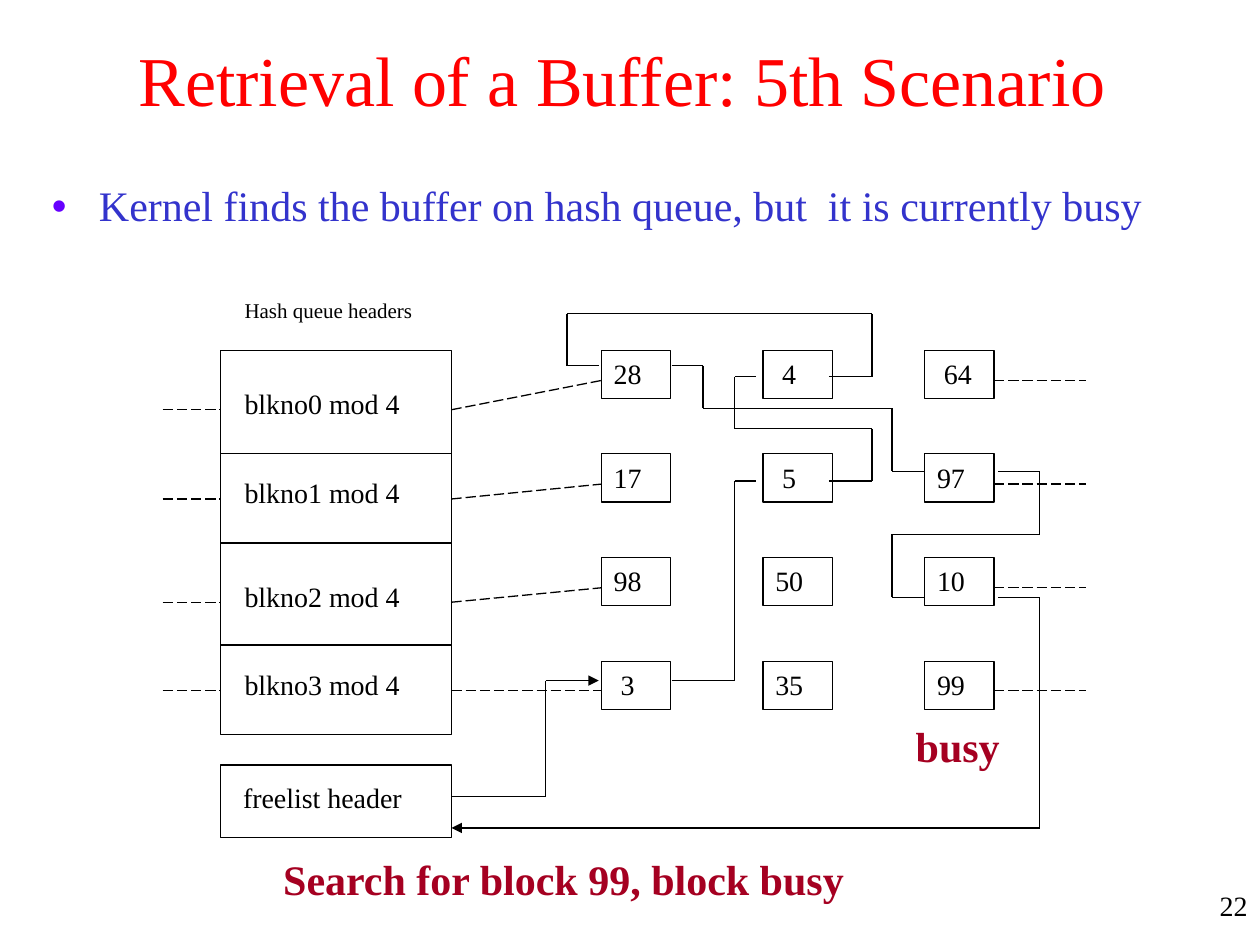
from lxml.etree import SubElement
from pptx import Presentation
from pptx.dml.color import RGBColor
from pptx.enum.dml import MSO_LINE
from pptx.enum.shapes import MSO_CONNECTOR, MSO_SHAPE
from pptx.enum.text import MSO_ANCHOR, MSO_AUTO_SIZE, PP_ALIGN
from pptx.oxml.ns import qn
from pptx.util import Cm, Pt

FONT = "Times New Roman"
BLACK = RGBColor(0x00, 0x00, 0x00)
RED = RGBColor(0xFF, 0x00, 0x00)
BLUE = RGBColor(0x33, 0x33, 0xCC)
CRIMSON = RGBColor(0xA5, 0x00, 0x21)
BULLET_COLOR = "6600FF"

TABLE_WIDTH = 4.65
BOX_WIDTH, BOX_HEIGHT = 1.4, 0.97
COLUMN_PITCH, ROW_PITCH = 3.26, 2.09
LINK_HEIGHT = 0.61  # where hash links meet a buffer, below its top
BUFFERS = [["28", " 4", " 64"], ["17", " 5", "97"],
           ["98", "50", "10"], [" 3", "35", "99"]]
DIVIDERS = [2.09, 3.89, 5.94]
HEADER_MIDDLES = [1.2, 3.0, 5.08, 6.86]

# Free list as runs of corner points, from the freelist header and back to it
FREE_LIST = [
    [(4.65, 8.99), (6.55, 8.99), (6.55, 6.66), (7.62, 6.66)],
    [(9.09, 6.66), (10.36, 6.66), (10.36, 2.64), (10.79, 2.64)],
    [(12.26, 2.64), (13.13, 2.64), (13.13, 1.58), (10.36, 1.58),
     (10.36, 0.53), (10.79, 0.53)],
    [(12.26, 0.53), (13.13, 0.53), (13.13, -0.74), (6.98, -0.74),
     (6.98, 0.31), (7.62, 0.31)],
    [(9.09, 0.31), (9.72, 0.31), (9.72, 1.17), (13.53, 1.17),
     (13.53, 2.44), (14.17, 2.44)],
    [(15.67, 2.44), (16.51, 2.44), (16.51, 3.71), (13.53, 3.71),
     (13.53, 4.98), (14.17, 4.98)],
    [(15.67, 4.98), (16.51, 4.98), (16.51, 9.63), (4.65, 9.63)],
]


def write(shape, text, size, color=BLACK, bold=False, align=PP_ALIGN.LEFT):
    frame = shape.text_frame
    frame.text = text
    frame.auto_size = MSO_AUTO_SIZE.NONE
    paragraph = frame.paragraphs[0]
    paragraph.alignment = align
    font = paragraph.runs[0].font
    font.name, font.size, font.bold = FONT, Pt(size), bold
    font.color.rgb = color
    return paragraph


def place(shape, left, top, width, height):
    shape.left, shape.top = Cm(left), Cm(top)
    shape.width, shape.height = Cm(width), Cm(height)


def add_label(slide, left, top, width, height, text, size, **style):
    label = slide.shapes.add_textbox(Cm(left), Cm(top), Cm(width), Cm(height))
    write(label, text, size, **style)
    label.text_frame.word_wrap = False


def add_box(slide, left, top, width, height):
    box = slide.shapes.add_shape(MSO_SHAPE.RECTANGLE, Cm(left), Cm(top),
                                 Cm(width), Cm(height))
    box.shadow.inherit = False
    box.fill.background()
    box.line.color.rgb = BLACK
    box.line.width = Pt(0.75)
    return box


def add_line(slide, x1, y1, x2, y2, dashed=False, arrow=False):
    line = slide.shapes.add_connector(MSO_CONNECTOR.STRAIGHT,
                                      Cm(x1), Cm(y1), Cm(x2), Cm(y2))
    line.line.color.rgb = BLACK
    line.line.width = Pt(0.75)
    if dashed:
        line.line.dash_style = MSO_LINE.LONG_DASH
    if arrow:
        SubElement(line.line._get_or_add_ln(), qn("a:tailEnd"), type="triangle")
    SubElement(line._element.spPr, qn("a:effectLst"))


def fill_title(slide, left, top, width, height):
    title = slide.shapes.title
    place(title, left, top, width, height)
    write(title, "Retrieval of a Buffer: 5th Scenario", 40, RED,
          align=PP_ALIGN.CENTER)
    title.text_frame.vertical_anchor = MSO_ANCHOR.MIDDLE


def fill_body(slide, left, top, width, height):
    body = slide.placeholders[1]
    place(body, left, top, width, height)
    paragraph = write(
        body, "Kernel finds the buffer on hash queue, but  it is currently busy",
        24, BLUE)
    paragraph.line_spacing = 0.9
    properties = paragraph._p.get_or_add_pPr()
    properties.set("marL", str(Cm(0.95)))
    properties.set("indent", str(Cm(-0.95)))
    bullet_color = SubElement(properties, qn("a:buClr"))
    SubElement(bullet_color, qn("a:srgbClr"), val=BULLET_COLOR)
    SubElement(properties, qn("a:buChar"), char="•")


def add_hash_headers(slide, left, top):
    add_label(slide, left + 0.23, top - 1.19, 3.89, 0.76,
              "Hash queue headers", 12)
    add_box(slide, left, top, TABLE_WIDTH, 7.75)
    for divider in DIVIDERS:
        add_line(slide, left, top + divider, left + TABLE_WIDTH, top + divider)
    for number, middle in enumerate(HEADER_MIDDLES):
        add_label(slide, left + 0.23, top + middle - 0.59, 3.63, 0.94,
                  f"blkno{number} mod 4", 16)


def add_buffers(slide, left, top):
    for row, values in enumerate(BUFFERS):
        for column, value in enumerate(values):
            box = add_box(slide, left + column * COLUMN_PITCH,
                          top + row * ROW_PITCH, BOX_WIDTH, BOX_HEIGHT)
            write(box, value, 16)
            box.text_frame.vertical_anchor = MSO_ANCHOR.TOP


def add_hash_links(slide, left, top, buffers_left):
    right = buffers_left + 2 * COLUMN_PITCH + BOX_WIDTH
    for row, middle in enumerate(HEADER_MIDDLES):
        header_y = top + middle
        buffer_y = min(top + row * ROW_PITCH + LINK_HEIGHT, top + 6.86)
        add_line(slide, left - 1.17, header_y, left, header_y, dashed=True)
        add_line(slide, left + TABLE_WIDTH, header_y, buffers_left, buffer_y,
                 dashed=True)
        add_line(slide, right, buffer_y, right + 1.85, buffer_y, dashed=True)


def add_free_list(slide, left, top):
    add_box(slide, left, top + 8.36, TABLE_WIDTH, 1.47)
    add_label(slide, left + 0.2, top + 8.56, 3.73, 0.94, "freelist header", 16)
    for index, points in enumerate(FREE_LIST):
        for start, end in zip(points, points[1:]):
            # Arrowheads mark the first buffer and the return to the header
            arrow = index in (0, len(FREE_LIST) - 1) and end == points[-1]
            add_line(slide, left + start[0], top + start[1],
                     left + end[0], top + end[1], arrow=arrow)


def add_diagram(slide, left, top):
    buffers_left = left + 7.67
    add_hash_headers(slide, left, top)
    add_buffers(slide, buffers_left, top)
    add_hash_links(slide, left, top, buffers_left)
    add_free_list(slide, left, top)
    # Remarks
    add_label(slide, left + 1.01, top + 10.03, 11.84, 1.27,
              "Search for block 99, block busy", 24, color=CRIMSON, bold=True)
    add_label(slide, left + 13.76, top + 7.34, 2.21, 1.27,
              "busy", 24, color=CRIMSON, bold=True)


def main():
    presentation = Presentation()
    presentation.slide_width, presentation.slide_height = Cm(25.4), Cm(19.05)
    slide = presentation.slides.add_slide(presentation.slide_layouts[1])
    fill_title(slide, 1.75, 0, 21.59, 3.18)
    fill_body(slide, 0.79, 3.61, 23.34, 1.7)
    add_diagram(slide, 4.45, 7.06)
    # Slide number
    add_label(slide, 24.2, 17.78, 1.2, 1.27, "22", 16, align=PP_ALIGN.RIGHT)
    presentation.save("out.pptx")


if __name__ == "__main__":
    main()
